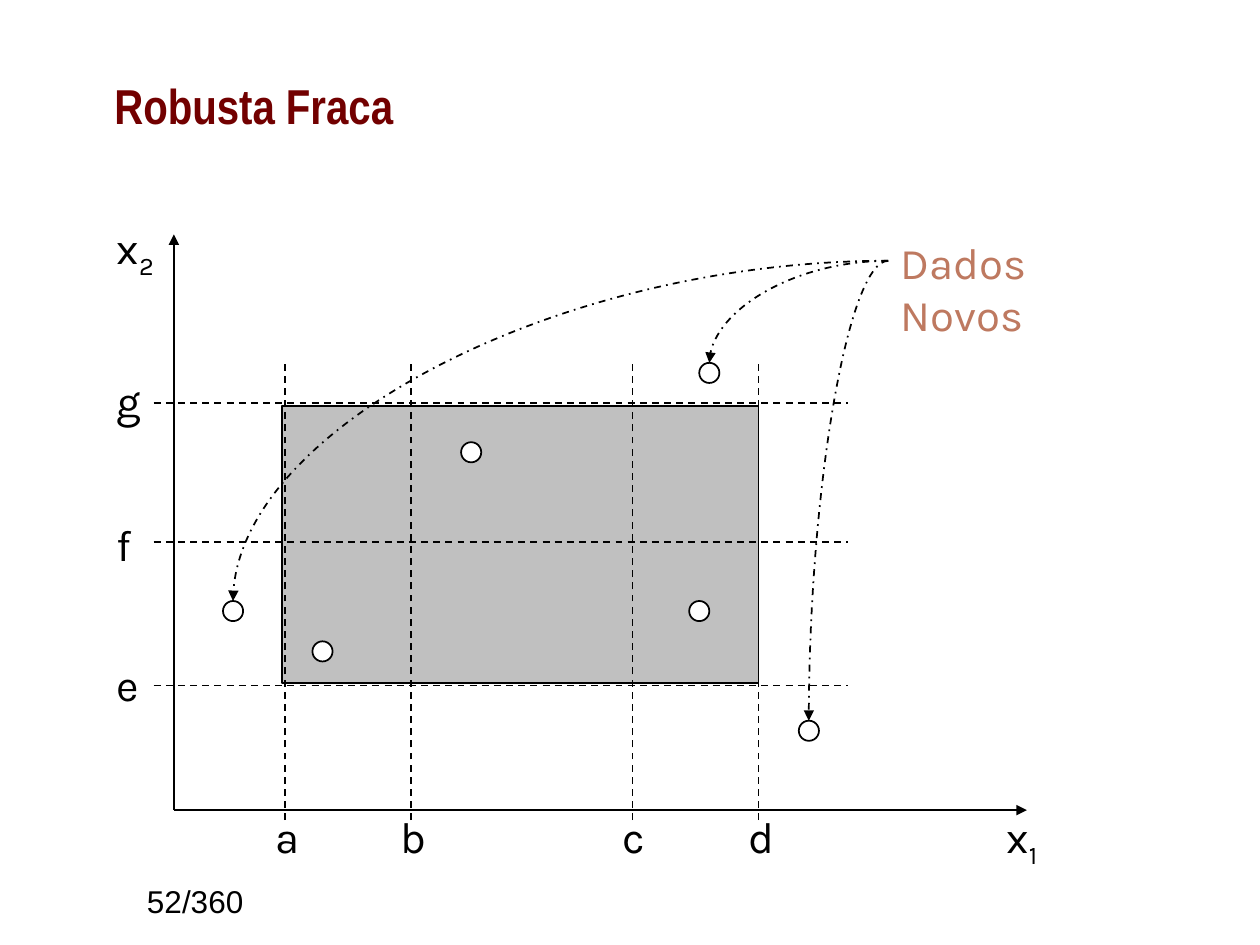
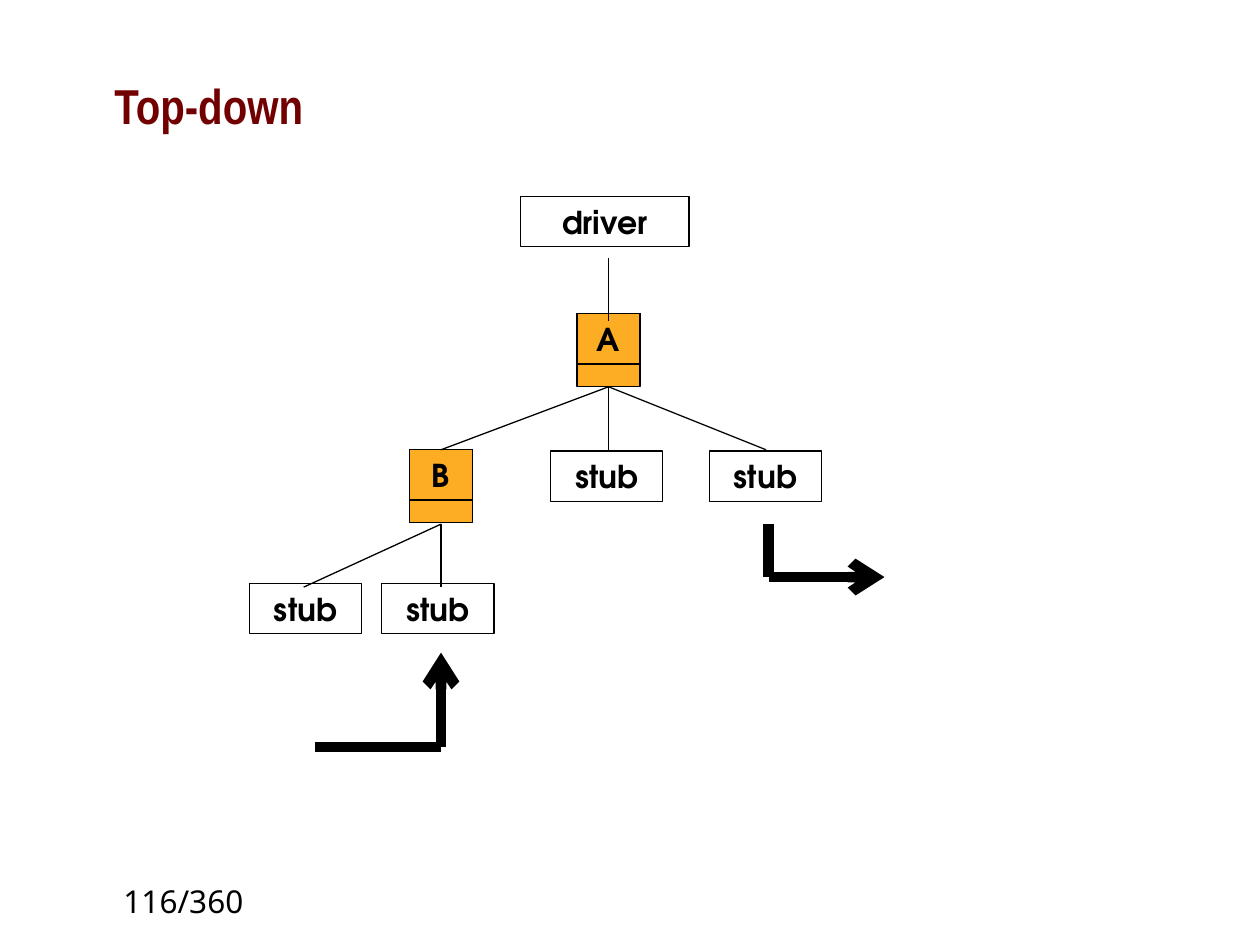
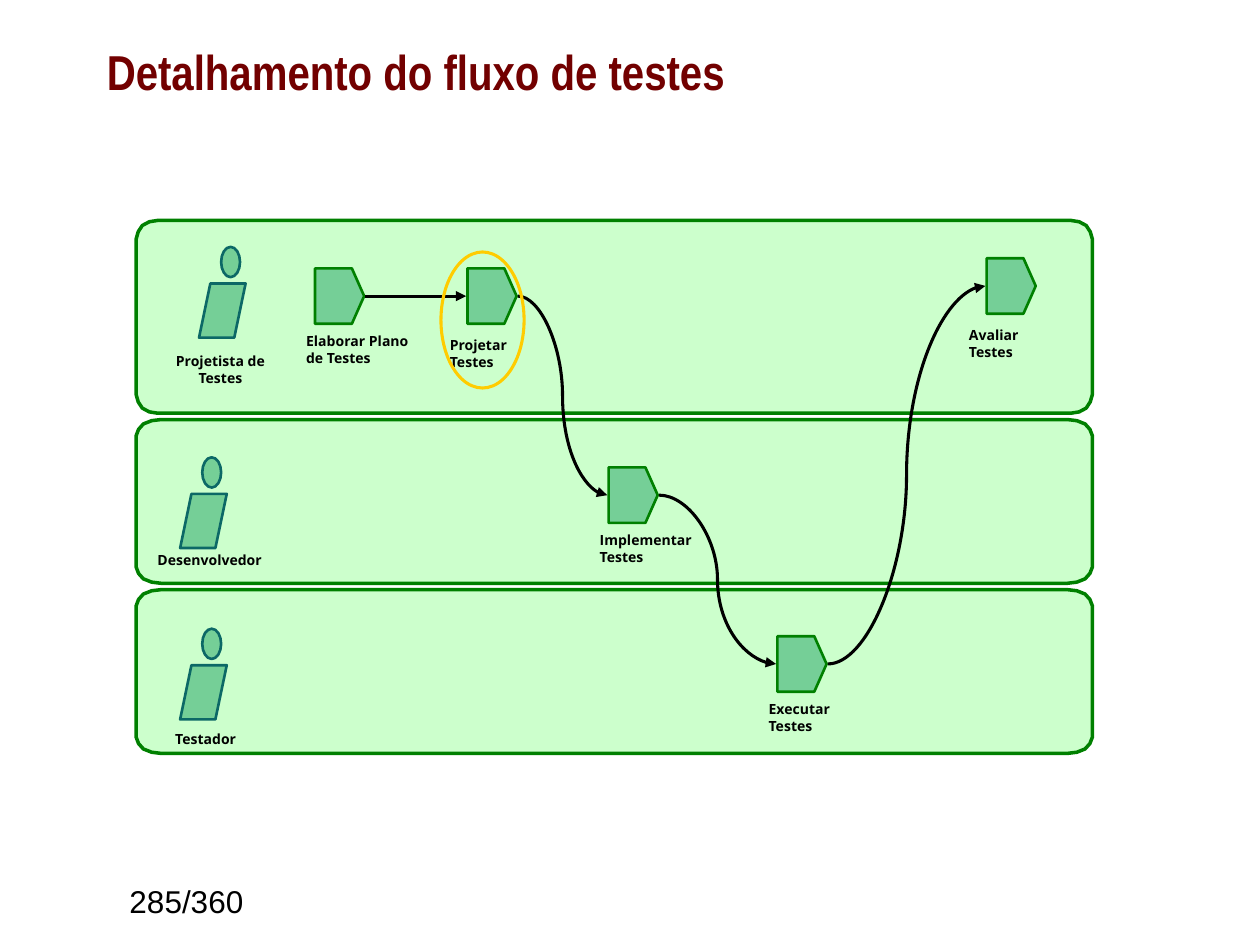
"""Build three slides on software testing: robustness, top-down integration and the test workflow."""
from math import cos, pi, sin

from lxml.etree import SubElement
from pptx import Presentation
from pptx.dml.color import RGBColor
from pptx.enum.dml import MSO_LINE
from pptx.enum.shapes import MSO_CONNECTOR, MSO_SHAPE
from pptx.enum.text import MSO_ANCHOR, MSO_AUTO_SIZE, PP_ALIGN
from pptx.oxml.ns import qn
from pptx.util import Inches, Pt

BLACK, WHITE, TITLE, NEW_DATA = "000000", "FFFFFF", "720000", "BE7960"
RANGE_GRAY, MODULE, HIGHLIGHT = "C0C0C0", "FDAD23", "FFCC00"
LANE_FILL, LANE_LINE, SYMBOL_FILL, ACTOR_LINE = "CCFFCC", "008000", "75CF97", "0C6866"

TITLE_BOX, PAGE_BOX = (0.81, 0.21, 7.97, 1.25), (0.86, 6.95, 1.17, 0.39)

ORIGIN = (1.38, 6.43)
AXES = [("1", (8.15, 6.43), (7.89, 6.38)), ("2", (1.38, 1.86), (0.83, 1.7))]
COLUMNS = [("a", 2.26, 2.09, 0.38), ("b", 3.26, 3.08, 0.39),
           ("c", 5.02, 4.84, 0.37), ("d", 6.02, 5.84, 0.39)]
ROWS = [("e", 5.44, 5.17, 0.39), ("f", 4.3, 4.06, 0.33), ("g", 3.2, 2.92, 0.38)]
VALID_POINTS = [(3.74, 3.59), (2.56, 5.17), (5.55, 4.85)]
NEW_POINTS = [(1.85, 4.85), (5.63, 2.96), (6.42, 5.8)]
NEW_DATA_START = (7.05, 2.07)
POINT_RADIUS = 0.08

MODULES = [("A", 4.58, 2.49), ("B", 3.25, 3.57)]
STAND_INS = [("stub", 3.03, 4.63, 0.89), ("stub", 1.98, 4.63, 0.89),
             ("stub", 5.63, 3.58, 0.89), ("stub", 4.37, 3.58, 0.89),
             ("driver", 4.13, 1.56, 1.34)]
CALLS = [((4.83, 3.07), (3.5, 3.57)), ((4.83, 3.07), (4.83, 3.57)),
         ((4.83, 3.07), (6.08, 3.57)), ((3.5, 4.16), (2.41, 4.66)),
         ((3.5, 4.16), (3.5, 4.66)), ((4.83, 2.05), (4.83, 2.55))]
BENT_ARROWS = [((2.5, 5.93), (3.5, 5.93), (3.5, 5.18)),
               ((6.1, 4.16), (6.1, 4.58), (7.02, 4.58))]

LANE_LEFT, LANE_RIGHT = 1.08, 8.67
LANES = [(1.75, 3.28, 0.17, 0.15), (3.33, 4.63, 0.2, 0.13), (4.68, 5.98, 0.2, 0.13)]
CORNER = [(1, 0), (0.62, 0.07), (0.29, 0.27), (0.1, 0.6), (0, 1)]
ACTORS = [("Projetista de\nTestes", 1.58, 1.96, (1.33, 2.8, 0.84, 0.27), PP_ALIGN.CENTER),
          ("Desenvolvedor", 1.43, 3.63, (1.25, 4.38, 0.93, 0.13), PP_ALIGN.LEFT),
          ("Testador", 1.43, 4.99, (1.39, 5.8, 0.55, 0.13), PP_ALIGN.LEFT)]
STEP_WIDTH, STEP_HEIGHT, STEP_GAP = 0.39, 0.44, 0.01
STEPS = [("Elaborar Plano\nde Testes", 2.5, 2.13, (2.43, 2.64, 0.96, 0.27)),
         ("Projetar\nTestes", 3.71, 2.13, (3.57, 2.67, 0.55, 0.27)),
         ("Implementar\nTestes", 4.83, 3.71, (4.76, 4.22, 0.86, 0.27)),
         ("Executar\nTestes", 6.17, 5.05, (6.1, 5.56, 0.55, 0.27)),
         ("Avaliar\nTestes", 7.83, 2.05, (7.69, 2.59, 0.48, 0.27))]


def color(hex_code):
    return RGBColor.from_string(hex_code)


def paint(shape, fill=None, line=BLACK, width=1):
    shape.shadow.inherit = False
    if fill:
        shape.fill.solid()
        shape.fill.fore_color.rgb = color(fill)
    else:
        shape.fill.background()
    shape.line.color.rgb = color(line)
    shape.line.width = Pt(width)
    return shape


def write(shape, text, size=18, font="Arial", ink=BLACK, bold=False, align=PP_ALIGN.LEFT,
          anchor=MSO_ANCHOR.TOP, wrap=True, grow=False, inset=None, subscript=None):
    frame = shape.text_frame
    frame.word_wrap, frame.vertical_anchor = wrap, anchor
    frame.auto_size = MSO_AUTO_SIZE.SHAPE_TO_FIT_TEXT if grow else MSO_AUTO_SIZE.NONE
    if inset is not None:
        frame.margin_left = frame.margin_right = Inches(inset)
        frame.margin_top = frame.margin_bottom = Inches(inset)
    for index, content in enumerate(text.split("\n")):
        paragraph = frame.add_paragraph() if index else frame.paragraphs[0]
        paragraph.alignment = align
        for part in filter(None, (content, subscript)):
            run = paragraph.add_run()
            run.text = part
            run.font.size, run.font.name, run.font.bold = Pt(size), font, bold
            run.font.color.rgb = color(ink)
            if part == subscript:
                run.font._element.set("baseline", "-25000")


def add_text(slide, text, box, **style):
    write(slide.shapes.add_textbox(*map(Inches, box)), text, **style)


def add_preset(slide, preset, box, **style):
    return paint(slide.shapes.add_shape(preset, *map(Inches, box)), **style)


def add_outline(slide, points, **style):
    corners = [(Inches(x), Inches(y)) for x, y in points]
    builder = slide.shapes.build_freeform(*corners[0], scale=1.0)
    builder.add_line_segments(corners[1:], close=True)
    return paint(builder.convert_to_shape(), **style)


def add_line(slide, start, end, width=1, dash=None, arrow=None, curve=None):
    kind = MSO_CONNECTOR.CURVE if curve else MSO_CONNECTOR.STRAIGHT
    connector = slide.shapes.add_connector(kind, *map(Inches, (*start, *end)))
    connector.line.color.rgb = color(BLACK)
    connector.line.width = Pt(width)
    if dash:
        connector.line.dash_style = dash
    properties = connector._element.spPr
    if curve:
        properties.find(qn("a:prstGeom")).set("prst", curve)
    if arrow:
        SubElement(properties.find(qn("a:ln")), qn("a:tailEnd"), type=arrow)
    SubElement(properties, qn("a:effectLst"))


def start_slide(presentation, title, page, title_box=TITLE_BOX, page_font="Arial"):
    slide = presentation.slides.add_slide(presentation.slide_layouts[6])
    add_text(slide, title, title_box, size=28, font="Arial Narrow", ink=TITLE,
             bold=True, anchor=MSO_ANCHOR.MIDDLE)
    add_text(slide, f"{page}/360", PAGE_BOX, font=page_font, align=PP_ALIGN.RIGHT)
    return slide


def build_robustness(presentation):
    slide = start_slide(presentation, "Robusta Fraca", 52)
    label = dict(size=25, font="Karla", grow=True)
    add_preset(slide, MSO_SHAPE.RECTANGLE, (2.24, 3.22, 3.78, 2.2), fill=RANGE_GRAY)
    for number, tip, place in AXES:
        add_line(slide, ORIGIN, tip, arrow="triangle")
        add_text(slide, "x", (*place, 0.5, 0.52), subscript=number, wrap=False, **label)
    for name, x, left, width in COLUMNS:
        add_text(slide, name, (left, 6.38, width, 0.52), wrap=False, **label)
        add_line(slide, (x, 6.51), (x, 2.88), dash=MSO_LINE.DASH)
    for name, y, top, width in ROWS:
        add_text(slide, name, (0.83, top, width, 0.52), wrap=False, **label)
        add_line(slide, (1.22, y), (6.73, y), dash=MSO_LINE.DASH)
    for x, y in VALID_POINTS + NEW_POINTS:
        box = (x - POINT_RADIUS, y - POINT_RADIUS, 2 * POINT_RADIUS, 2 * POINT_RADIUS)
        add_preset(slide, MSO_SHAPE.OVAL, box, fill=WHITE)
    add_text(slide, "Dados Novos", (7.05, 1.82, 2.12, 0.52), ink=NEW_DATA, **label)
    for x, y in NEW_POINTS:
        add_line(slide, NEW_DATA_START, (x, y - POINT_RADIUS), dash=MSO_LINE.DASH_DOT,
                 arrow="triangle", curve="curvedConnector2")


def add_unit(slide, name, left, top, width):
    shape = add_preset(slide, MSO_SHAPE.RECTANGLE, (left, top, width, 0.4), width=0.75)
    write(shape, name, font="TeX Gyre Adventor", bold=True, align=PP_ALIGN.CENTER, grow=True)


def build_top_down(presentation):
    slide = start_slide(presentation, "Top-down", 116, page_font="Noto Sans")
    for name, left, top in MODULES:
        add_preset(slide, MSO_SHAPE.RECTANGLE, (left, top, 0.5, 0.58), fill=MODULE, width=0.75)
        add_unit(slide, name, left, top, 0.5)
    for caller, called in CALLS:
        add_line(slide, caller, called, width=0.75)
    for start, bend, tip in BENT_ARROWS:
        add_line(slide, start, bend, width=6)
        add_line(slide, bend, tip, width=6, arrow="arrow")
    for stand_in in STAND_INS:
        add_unit(slide, *stand_in)


def lane_points(top, bottom, corner_width, corner_height):
    curve = [(x * corner_width, y * corner_height) for x, y in CORNER]
    back = curve[::-1]
    return ([(LANE_LEFT + x, top + y) for x, y in curve]
            + [(LANE_LEFT + x, bottom - y) for x, y in back]
            + [(LANE_RIGHT - x, bottom - y) for x, y in curve]
            + [(LANE_RIGHT - x, top + y) for x, y in back])


def add_actor(slide, left, top):
    style = dict(fill=SYMBOL_FILL, line=ACTOR_LINE, width=1.5)
    shoulder, foot = top + 0.29, top + 0.72
    add_outline(slide, [(left + 0.09, shoulder), (left + 0.37, shoulder),
                        (left + 0.28, foot), (left, foot)], **style)
    angles = [step * pi / 8 for step in range(16)]
    add_outline(slide, [(left + 0.25 + 0.075 * sin(angle), top + 0.12 + 0.12 * cos(angle))
                        for angle in angles], **style)


def build_workflow(presentation):
    slide = start_slide(presentation, "Detalhamento do fluxo de testes", 285,
                        title_box=(0.75, -0.06, 9.17, 1.25))
    label = dict(size=8, font="Open Sans", bold=True, wrap=False, grow=True, inset=0)
    for lane in LANES:
        add_outline(slide, lane_points(*lane), fill=LANE_FILL, line=LANE_LINE, width=2)
    for name, left, top, box, align in ACTORS:
        add_actor(slide, left, top)
        add_text(slide, name, box, align=align, **label)
    for name, left, top, box in STEPS:
        shape = add_preset(slide, MSO_SHAPE.PENTAGON, (left, top, STEP_WIDTH, STEP_HEIGHT),
                           fill=SYMBOL_FILL, line=LANE_LINE, width=1.5)
        shape.adjustments[0] = 0.25
        add_text(slide, name, box, **label)
    for (_, left, top, _), (_, next_left, next_top, _) in zip(STEPS, STEPS[1:]):
        start = (left + STEP_WIDTH + STEP_GAP, top + STEP_HEIGHT / 2)
        end = (next_left - STEP_GAP, next_top + STEP_HEIGHT / 2)
        add_line(slide, start, end, width=1.75, arrow="triangle",
                 curve=None if top == next_top else "curvedConnector3")
    add_preset(slide, MSO_SHAPE.OVAL, (3.5, 2, 0.66, 1.08), line=HIGHLIGHT, width=1.75)


def main():
    presentation = Presentation()
    presentation.slide_width, presentation.slide_height = Inches(10), Inches(7.5)
    build_robustness(presentation)
    build_top_down(presentation)
    build_workflow(presentation)
    presentation.save("out.pptx")


main()
